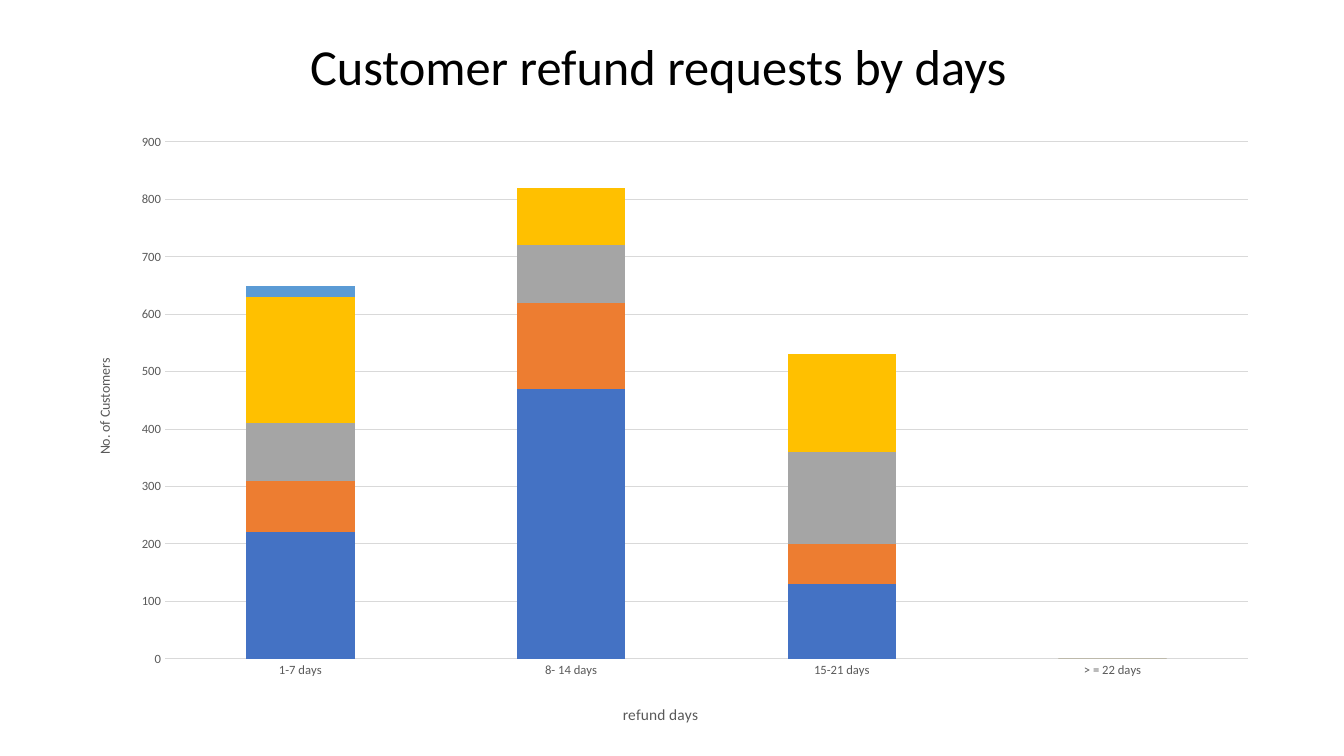
from lxml import etree
from pptx import Presentation
from pptx.chart.data import CategoryChartData
from pptx.dml.color import RGBColor
from pptx.enum.chart import XL_CHART_TYPE as ChartType, XL_TICK_MARK as TickMark
from pptx.enum.text import MSO_ANCHOR as Anchor, PP_ALIGN as Align
from pptx.oxml.ns import qn
from pptx.util import Emu, Pt

PIXEL = 914400 / 100.8
FONT = "Calibri"
BLACK = RGBColor(0x00, 0x00, 0x00)
DARK_GREY = RGBColor(0x59, 0x59, 0x59)
GRID_GREY = RGBColor(0xD9, 0xD9, 0xD9)
BLUE = RGBColor(0x44, 0x72, 0xC4)
ORANGE = RGBColor(0xED, 0x7D, 0x31)
GREY = RGBColor(0xA5, 0xA5, 0xA5)
GOLD = RGBColor(0xFF, 0xC0, 0x00)
LIGHT_BLUE = RGBColor(0x5B, 0x9B, 0xD5)

CHART_LEFT, CHART_TOP, CHART_WIDTH, CHART_HEIGHT = 76, 123, 1196, 612
SERIES = [
    ("Series 1", (220, 470, 130, 0), BLUE),
    ("Series 2", (90, 150, 70, 0), ORANGE),
    ("Series 3", (100, 100, 160, 0), GREY),
    ("Series 4", (220, 100, 170, 0), GOLD),
    ("Series 5", (20, 0, 0, 0), LIGHT_BLUE),
]


def px(*lengths):
    """Turn pixel lengths into a list of EMU lengths."""
    return [Emu(round(length * PIXEL)) for length in lengths]


def place(parent, left, top, size=None):
    """Fix the place of a chart part, given in slide pixels."""
    for old in parent.findall(qn("c:layout")):
        parent.remove(old)
    layout = etree.Element(qn("c:layout"))
    manual = etree.SubElement(layout, qn("c:manualLayout"))
    settings = [("xMode", "edge"), ("yMode", "edge"),
                ("x", (left - CHART_LEFT) / CHART_WIDTH),
                ("y", (top - CHART_TOP) / CHART_HEIGHT)]
    if size:
        settings.insert(0, ("layoutTarget", "inner"))
        settings += [("w", size[0] / CHART_WIDTH), ("h", size[1] / CHART_HEIGHT)]
    for tag, value in settings:
        etree.SubElement(manual, qn("c:" + tag)).set("val", str(value))
    text = parent.find(qn("c:tx"))
    parent.insert(0 if text is None else 1, layout)


deck = Presentation()
deck.slide_width, deck.slide_height = px(1344, 756)
page = deck.slides.add_slide(deck.slide_layouts[6])

# Heading
box = page.shapes.add_textbox(*px(168, 0, 981, 139))
frame = box.text_frame
frame.word_wrap = True
frame.vertical_anchor = Anchor.MIDDLE
para = frame.paragraphs[0]
para.alignment = Align.CENTER
para.line_spacing = 0.9
span = para.add_run()
span.text = "Customer refund requests by days"
span.font.name = FONT
span.font.size = Pt(36)
span.font.color.rgb = BLACK

# Stacked columns
data = CategoryChartData()
data.categories = ["1-7 days", "8- 14 days", "15-21 days", "> = 22 days"]
for name, values, color in SERIES:
    data.add_series(name, values)
chart = page.shapes.add_chart(
    ChartType.COLUMN_STACKED,
    *px(CHART_LEFT, CHART_TOP, CHART_WIDTH, CHART_HEIGHT), data).chart
chart.has_legend = False
chart.has_title = False
chart.font.name = FONT
chart.font.size = Pt(10)
chart.font.color.rgb = BLACK
plot = chart.plots[0]
plot.gap_width = 150
plot.overlap = 100
plot.vary_by_categories = False
for series, (name, values, color) in zip(plot.series, SERIES):
    series.format.fill.solid()
    series.format.fill.fore_color.rgb = color
    series.invert_if_negative = False

# Axes and their titles
days_axis, customers_axis = chart.category_axis, chart.value_axis
for axis, title, size, left, top in [
        (days_axis, "refund days", 11, 620, 701),
        (customers_axis, "No. of Customers", 10, 93, 356)]:
    axis.major_tick_mark = axis.minor_tick_mark = TickMark.NONE
    axis.tick_labels.font.name = FONT
    axis.tick_labels.font.size = Pt(9)
    axis.tick_labels.font.color.rgb = DARK_GREY
    span = axis.axis_title.text_frame.paragraphs[0].add_run()
    span.text = title
    span.font.name = FONT
    span.font.size = Pt(size)
    span.font.bold = False
    span.font.color.rgb = DARK_GREY
    place(axis.axis_title._element, left, top)
customers_axis.axis_title.text_frame._txBody.bodyPr.set("rot", "-5400000")
customers_axis.minimum_scale = 0
customers_axis.maximum_scale = 900
customers_axis.major_unit = 100
customers_axis.has_major_gridlines = True
customers_axis.format.line.fill.background()
for line in (days_axis.format.line, customers_axis.major_gridlines.format.line):
    line.color.rgb = GRID_GREY
    line.width = Pt(0.75)
place(chart._chartSpace.chart.plotArea, 165, 142, (1083, 517))

deck.save("out.pptx")
